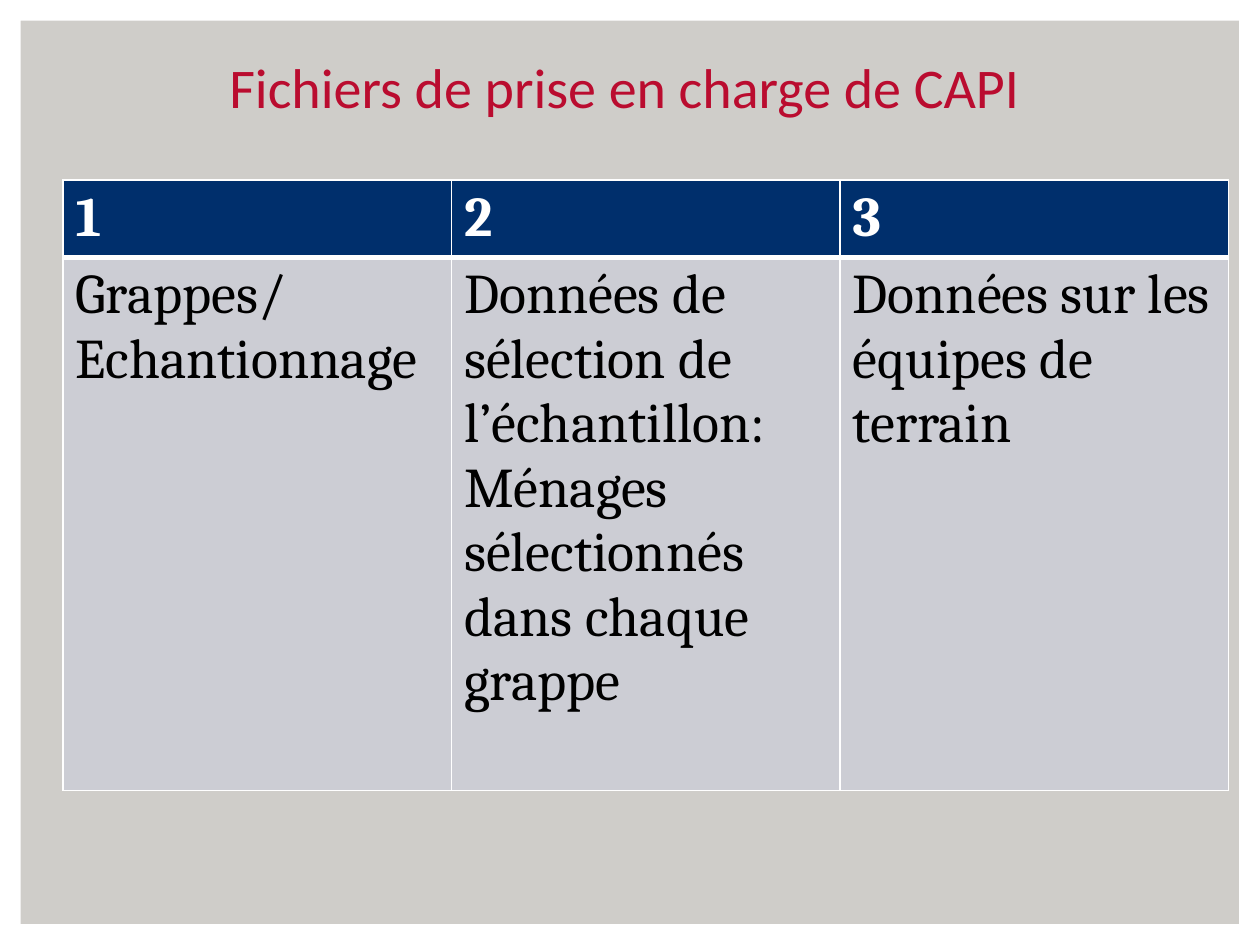
from lxml.etree import SubElement as Sub
from pptx import Presentation
from pptx.dml.color import RGBColor
from pptx.enum.shapes import MSO_SHAPE as Kind
from pptx.enum.text import MSO_ANCHOR as Anchor, PP_ALIGN as Align
from pptx.oxml.ns import qn
from pptx.util import Cm, Pt

WHITE = RGBColor(0xFF, 0xFF, 0xFF)
BLACK = RGBColor(0, 0, 0)
GREY = RGBColor(0xCF, 0xCD, 0xC9)
RED = RGBColor(0xBA, 0x0C, 0x2F)
NAVY = RGBColor(0x00, 0x2F, 0x6C)
PALE = RGBColor(0xCC, 0xCD, 0xD4)

HEADS = ["1", "2", "3"]
FILES = [
    "Grappes/ Echantionnage",
    "Données de sélection de l’échantillon: Ménages sélectionnés dans chaque grappe",
    "Données sur les équipes de terrain",
]


def add_run(para, text, face, color, bold=False):
    """Add a formatted run to a paragraph."""
    run = para.add_run()
    run.text = text
    font = run.font
    font.name, font.size, font.bold = face, Pt(32), bold
    font.color.rgb = color


def add_title(slide, text):
    """Place and format the title."""
    title = slide.shapes.title
    title.left, title.top = Cm(0.43), Cm(0.89)
    title.width, title.height = Cm(24.33), Cm(1.65)
    frame = title.text_frame
    frame.word_wrap = True
    frame.vertical_anchor = Anchor.BOTTOM
    para = frame.paragraphs[0]
    para.alignment = Align.CENTER
    add_run(para, text, "Calibri", RED)


def add_frame(slide, width, height):
    """Put a white frame behind the title."""
    frame = slide.shapes.add_shape(Kind.FRAME, 0, 0, width, height)
    frame.adjustments[0] = 0.022
    frame.shadow.inherit = False
    frame.fill.solid()
    frame.fill.fore_color.rgb = WHITE
    frame.line.fill.background()
    slide.shapes.title.element.addprevious(frame.element)


def set_edges(cell, widths):
    """Draw white borders of the given widths around a cell."""
    props = cell._tc.get_or_add_tcPr()
    for spot, (side, width) in enumerate(widths.items()):
        line = props.makeelement(qn(f"a:ln{side}"), {"w": str(Pt(width))})
        fill = Sub(line, qn("a:solidFill"))
        Sub(fill, qn("a:srgbClr"), val=str(WHITE))
        props.insert(spot, line)


def fill_row(cells, texts, fill, color, bold, top, base):
    """Fill one table row with styled text."""
    for cell, text in zip(cells, texts):
        cell.fill.solid()
        cell.fill.fore_color.rgb = fill
        add_run(cell.text_frame.paragraphs[0], text, "Cambria", color, bold)
        set_edges(cell, {"L": 1, "R": 1, "T": top, "B": base})


def add_grid(slide):
    """Add the table of support files."""
    shape = slide.shapes.add_table(2, 3, Cm(1.27), Cm(3.63), Cm(23.5), Cm(12.3))
    table = shape.table
    for row, height in zip(table.rows, (1.55, 10.75)):
        row.height = Cm(height)
    head, body = (row.cells for row in table.rows)
    fill_row(head, HEADS, NAVY, WHITE, True, 1, 3)
    fill_row(body, FILES, PALE, BLACK, False, 3, 1)


def main():
    """Build and save the slide."""
    deck = Presentation()
    deck.slide_width, deck.slide_height = Cm(25.4), Cm(19.05)
    slide = deck.slides.add_slide(deck.slide_layouts[5])
    back = slide.background.fill
    back.solid()
    back.fore_color.rgb = GREY
    add_title(slide, "Fichiers de prise en charge de CAPI")
    add_frame(slide, deck.slide_width, deck.slide_height)
    add_grid(slide)
    deck.save("out.pptx")


if __name__ == "__main__":
    main()
